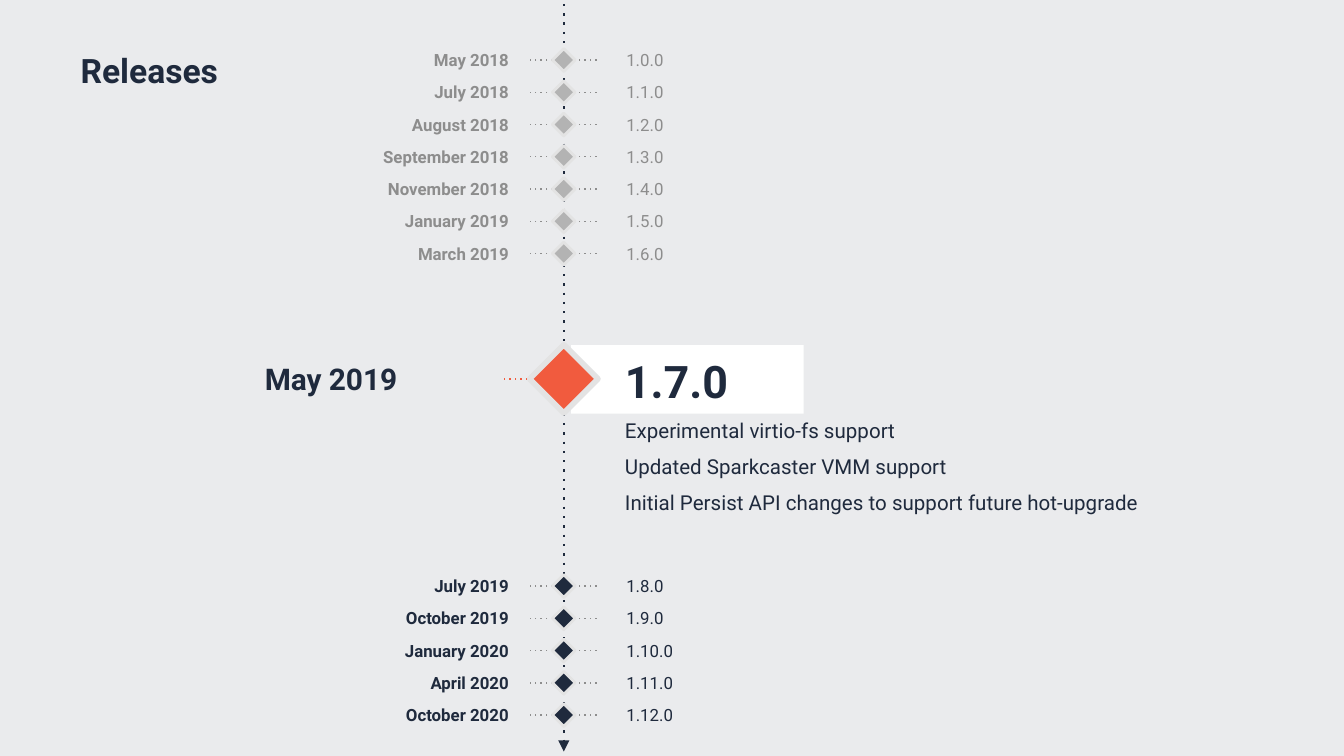
"""Build the release timeline slide."""
from dataclasses import dataclass

from lxml.etree import SubElement
from pptx import Presentation
from pptx.dml.color import RGBColor as Rgb
from pptx.enum.shapes import MSO_CONNECTOR as Link, MSO_SHAPE as Kind
from pptx.enum.text import MSO_ANCHOR as Anchor, MSO_AUTO_SIZE as Fit, PP_ALIGN as Align
from pptx.oxml.ns import qn
from pptx.util import Inches, Pt

WIDE = 10
HIGH = WIDE * 9 / 16
COL, ROW = WIDE / 100, 0.24
AXIS = 41.95


@dataclass(frozen=True)
class Theme:
    font: str = "Roboto"
    back: str = "EAEBED"
    ink: str = "1F2A3D"
    mute: str = "8D8D8D"
    pale: str = "B3B3B3"
    edge: str = "E3E3E3"
    hot: str = "F15B3E"
    white: str = "FFFFFF"
    small: int = 9
    body: int = 11
    date: int = 16
    head: int = 18
    big: int = 24


@dataclass(frozen=True)
class Era:
    row: float
    text: str
    mark: str
    items: tuple[tuple[str, str], ...]


LOOK = Theme()
ERAS = (
    Era(1.86, LOOK.mute, LOOK.pale, (
        ("May 2018", "1.0.0"), ("July 2018", "1.1.0"), ("August 2018", "1.2.0"),
        ("September 2018", "1.3.0"), ("November 2018", "1.4.0"),
        ("January 2019", "1.5.0"), ("March 2019", "1.6.0"))),
    Era(18.17, LOOK.ink, LOOK.ink, (
        ("July 2019", "1.8.0"), ("October 2019", "1.9.0"), ("January 2020", "1.10.0"),
        ("April 2020", "1.11.0"), ("October 2020", "1.12.0"))),
)
FOCUS = 11.75
NEWS = (
    "Experimental virtio-fs support",
    "Updated Sparkcaster VMM support",
    "Initial Persist API changes to support future hot-upgrade",
)


def place(shape, col: float, row: float, cols: float, rows: float) -> None:
    """Move a shape to a cell range of the grid."""
    shape.left, shape.top = Inches(col * COL), Inches(row * ROW)
    shape.width, shape.height = Inches(cols * COL), Inches(rows * ROW)


def style(para, size: int, color: str, bold: bool = False) -> None:
    """Set the font of one paragraph."""
    font = para.font
    font.name, font.size, font.bold = LOOK.font, Pt(size), bold
    font.color.rgb = Rgb.from_string(color)


def frame(shape, side: float, edge: float, anchor=Anchor.TOP):
    """Set insets and anchor, and return the text frame."""
    text = shape.text_frame
    text.word_wrap, text.auto_size = True, Fit.NONE
    text.margin_left = text.margin_right = Inches(side)
    text.margin_top = text.margin_bottom = Inches(edge)
    text.vertical_anchor = anchor
    return text


def label(slide, words: str, col: float, row: float, cols: float,
          color: str, bold: bool = False, align=Align.LEFT) -> None:
    """Write one small line of text centred on a row."""
    box = slide.shapes.add_textbox(0, 0, 0, 0)
    place(box, col, row - 0.52, cols, 1.04)
    para = frame(box, 0.04, 0.05).paragraphs[0]
    para.text, para.alignment = words, align
    style(para, LOOK.small, color, bold)


def dots(slide, start: tuple[float, float], end: tuple[float, float],
         color: str, width: float, arrow: bool = False) -> None:
    """Draw a dotted line between two grid points."""
    line = slide.shapes.add_connector(
        Link.STRAIGHT, Inches(start[0] * COL), Inches(start[1] * ROW),
        Inches(end[0] * COL), Inches(end[1] * ROW))
    line.line.color.rgb = Rgb.from_string(color)
    line.line.width = Pt(width)
    pen = line.line._get_or_add_ln()
    SubElement(pen, qn("a:prstDash"), val="dot")
    if arrow:
        SubElement(pen, qn("a:tailEnd"), type="triangle")
    SubElement(line.element.spPr, qn("a:effectLst"))


def block(slide, col: float, row: float, cols: float, rows: float, fill: str):
    """Draw a plain filled box."""
    box = slide.shapes.add_shape(Kind.RECTANGLE, 0, 0, 0, 0)
    place(box, col, row, cols, rows)
    box.shadow.inherit = False
    box.fill.solid()
    box.fill.fore_color.rgb = Rgb.from_string(fill)
    box.line.fill.background()
    return box


def gem(slide, row: float, cols: float, fill: str, width: float) -> None:
    """Draw a turned square on the axis."""
    rows = cols * COL / ROW
    box = block(slide, AXIS - cols / 2, row - rows / 2, cols, rows, fill)
    box.rotation = 45
    box.line.color.rgb = Rgb.from_string(LOOK.edge)
    box.line.width = Pt(width)


def draw_era(slide, era: Era) -> None:
    """Draw the releases of one era, one per row."""
    for step, (date, name) in enumerate(era.items):
        row = era.row + step
        wide = 0.8 * len(date)
        label(slide, name, 46.2, row, 0.8 * len(name), era.text)
        label(slide, date, 38.25 - wide, row, wide, era.text, True, Align.RIGHT)
        dots(slide, (44.4, row), (39.4, row), LOOK.mute, 0.75)
        gem(slide, row, 1.2, era.mark, 1.5)


def draw_focus(slide, body) -> None:
    """Draw the current release with its news."""
    dots(slide, (42.5, FOCUS), (37.5, FOCUS), LOOK.hot, 0.75)
    block(slide, 42.5, 10.7, 17.3, 2.13, LOOK.white)
    slide.shapes._spTree.append(body.element)
    place(body, 45.5, 10.54, 45.1, 10.25)
    text = frame(body, 0.1, 0.1)
    text.text = "\n".join(("1.7.0", *NEWS))
    for spot, para in enumerate(text.paragraphs):
        style(para, LOOK.body if spot else LOOK.big, LOOK.ink, not spot)
        para.space_before = Pt(6 if spot else 0)
        props = para._p.get_or_add_pPr()
        props.set("marL", "0")
        props.set("indent", "0")
        SubElement(props, qn("a:buNone"))
        props.append(props.find(qn("a:defRPr")))
    date = slide.shapes.add_textbox(0, 0, 0, 0)
    place(date, 17.7, 10.54, 20.8, 2.37)
    text = frame(date, 0.2, 0.1, Anchor.MIDDLE)
    text.text = "May 2019"
    style(text.paragraphs[0], LOOK.date, LOOK.ink, True)
    gem(slide, FOCUS, 3.6, LOOK.hot, 3)


def main() -> None:
    """Build and save the deck."""
    deck = Presentation()
    deck.slide_width, deck.slide_height = Inches(WIDE), Inches(HIGH)
    slide = deck.slides.add_slide(deck.slide_layouts[1])
    slide.background.fill.solid()
    slide.background.fill.fore_color.rgb = Rgb.from_string(LOOK.back)
    title, body = slide.placeholders
    place(title, 5, 0.42, 22.4, 3.5)
    para = frame(title, 0.1, 0.1, Anchor.MIDDLE).paragraphs[0]
    para.text, para.alignment = "Releases", Align.LEFT
    style(para, LOOK.head, LOOK.ink, True)
    dots(slide, (AXIS, 0.12), (AXIS, 23.3), LOOK.ink, 1.25, True)
    for era in ERAS:
        draw_era(slide, era)
    draw_focus(slide, body)
    deck.save("out.pptx")


if __name__ == "__main__":
    main()
